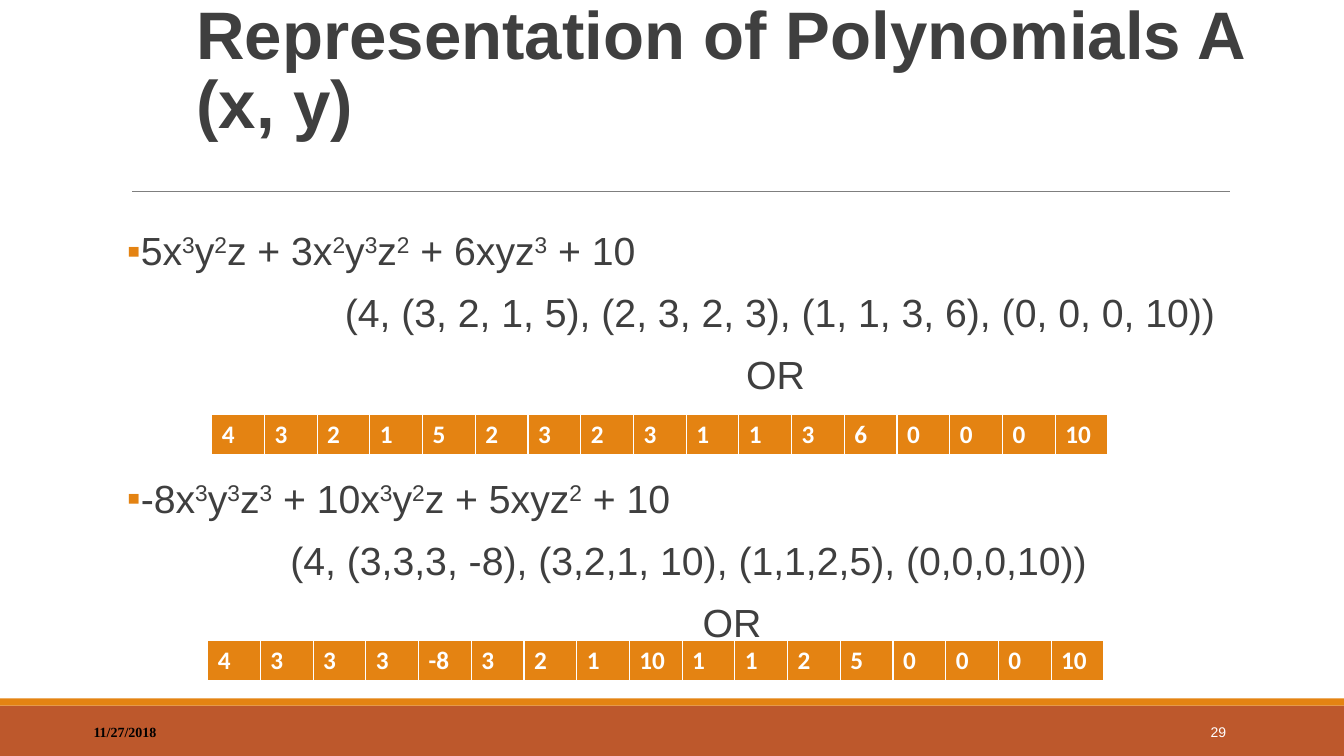
import pptx
import pptx.util
import pptx.dml.color
import pptx.enum.shapes
import pptx.enum.text
import pptx.oxml.ns
import lxml.etree

ALIGN = pptx.enum.text.PP_ALIGN
ANCHOR = pptx.enum.text.MSO_ANCHOR
SLIDE_W, SLIDE_H = 13.33, 7.5
ORANGE, RUST, WHITE, GREY = "E48312", "BD582C", "FFFFFF", "3F3F3F"

TITLE = "Representation of Polynomials A (x, y)"
DATE = "11/27/2018"
PAGE = "29"
# Each line: text (^ raises the next digit), left indent, bulleted, space before
LINE_GAP, TABLE_GAP = 14, 58.2
POLYNOMIALS = [
    ("5x^3y^2z + 3x^2y^3z^2 + 6xyz^3 + 10", 0.13, True, 0),
    ("(4, (3, 2, 1, 5), (2, 3, 2, 3), (1, 1, 3, 6), (0, 0, 0, 10))", 2.16, False, LINE_GAP),
    ("OR", 6.14, False, LINE_GAP),
    ("-8x^3y^3z^3 + 10x^3y^2z + 5xyz^2 + 10", 0.13, True, TABLE_GAP),
    ("(4, (3,3,3, -8), (3,2,1, 10), (1,1,2,5), (0,0,0,10))", 1.62, False, LINE_GAP),
    ("OR", 5.71, False, LINE_GAP),
]
# Left, top and values of each coefficient array
ARRAYS = [
    (2.06, 6.35, [4, 3, 3, 3, -8, 3, 2, 1, 10, 1, 1, 2, 5, 0, 0, 0, 10]),
    (2.1, 4.11, [4, 3, 2, 1, 5, 2, 3, 2, 3, 1, 1, 3, 6, 0, 0, 0, 10]),
]
ARRAY_W, ARRAY_H = 8.89, 0.41
CELL_BORDERS = {"a:lnL": 1, "a:lnR": 1, "a:lnT": 1, "a:lnB": 3}

TITLE_FONT = {"name": "Arial", "size": 48, "bold": True, "color": GREY}
BODY_FONT = {"name": "Arial", "size": 28, "color": GREY}
DATE_FONT = {"name": "Times New Roman", "size": 10, "bold": True, "color": "000000"}
PAGE_FONT = {"name": "Arial", "size": 10, "color": WHITE}
CELL_FONT = {"name": "Calibri", "size": 18, "bold": True, "color": WHITE}


def rgb(value):
    return pptx.dml.color.RGBColor.from_string(value)


def inches(*lengths):
    return [pptx.util.Inches(length) for length in lengths]


def add_xml(parent, tag, **attributes):
    child = lxml.etree.SubElement(parent, pptx.oxml.ns.qn(tag))
    for key, value in attributes.items():
        child.set(key, str(value))
    return child


def add_run(paragraph, text, style):
    run = paragraph.add_run()
    run.text = text
    for key, value in style.items():
        if key == "color":
            run.font.color.rgb = rgb(value)
        else:
            setattr(run.font, key, pptx.util.Pt(value) if key == "size" else value)
    return run


def add_band(slide, top, height, color):
    band = slide.shapes.add_shape(pptx.enum.shapes.MSO_SHAPE.RECTANGLE,
                                  *inches(0, top, SLIDE_W, height))
    band.shadow.inherit = False
    band.fill.solid()
    band.fill.fore_color.rgb = rgb(color)
    band.line.fill.background()


def add_frame(slide, place, **settings):
    frame = slide.shapes.add_textbox(*inches(*place)).text_frame
    for key, value in {"word_wrap": True, **settings}.items():
        setattr(frame, key, value)
    return frame


def add_label(slide, place, text, style, anchor, **settings):
    paragraph = add_frame(slide, place, vertical_anchor=anchor).paragraphs[0]
    for key, value in settings.items():
        setattr(paragraph, key, value)
    add_run(paragraph, text, style)


def add_polynomials(slide, place):
    frame = add_frame(slide, place, margin_left=0, margin_right=0)
    for index, (text, indent, bulleted, before) in enumerate(POLYNOMIALS):
        paragraph = frame.add_paragraph() if index else frame.paragraphs[0]
        paragraph.alignment = ALIGN.JUSTIFY
        paragraph.line_spacing = 0.9
        paragraph.space_before = pptx.util.Pt(before)
        properties = paragraph._p.get_or_add_pPr()
        left = pptx.util.Inches(indent)
        properties.set("marL", str(left))
        if bulleted:
            properties.set("indent", str(-left))
            add_xml(add_xml(properties, "a:buClr"), "a:srgbClr", val=ORANGE)
            add_xml(properties, "a:buFont", typeface="Arial")
            add_xml(properties, "a:buChar", char="▪")
        start, *powers = text.split("^")
        add_run(paragraph, start, BODY_FONT)
        for part in powers:
            exponent = add_run(paragraph, part[0], BODY_FONT)
            exponent._r.get_or_add_rPr().set("baseline", "30000")
            if part[1:]:
                add_run(paragraph, part[1:], BODY_FONT)


def add_array(slide, left, top, values):
    table = slide.shapes.add_table(1, len(values),
                                   *inches(left, top, ARRAY_W, ARRAY_H)).table
    for column, value in enumerate(values):
        table.columns[column].width = pptx.util.Inches(ARRAY_W / len(values))
        cell = table.cell(0, column)
        add_run(cell.text_frame.paragraphs[0], str(value), CELL_FONT)
        properties = cell._tc.get_or_add_tcPr()
        for side, width in CELL_BORDERS.items():
            border = add_xml(properties, side, w=pptx.util.Pt(width))
            add_xml(add_xml(border, "a:solidFill"), "a:srgbClr", val=WHITE)
        cell.fill.solid()
        cell.fill.fore_color.rgb = rgb(ORANGE)


def main():
    deck = pptx.Presentation()
    deck.slide_width, deck.slide_height = inches(SLIDE_W, SLIDE_H)
    slide = deck.slides.add_slide(deck.slide_layouts[6])

    add_band(slide, 7, 0.5, RUST)
    add_band(slide, 6.93, 0.07, ORANGE)
    rule = slide.shapes.add_connector(pptx.enum.shapes.MSO_CONNECTOR.STRAIGHT,
                                      *inches(1.31, 1.9, 12.2, 1.9))
    rule.line.color.rgb = rgb("7F7F7F")
    rule.line.width = pptx.util.Pt(0.75)
    add_xml(rule._element.spPr, "a:effectLst")

    add_label(slide, (1.85, 0.4, 11, 1.06), TITLE, TITLE_FONT, ANCHOR.BOTTOM,
              line_spacing=0.85)
    add_label(slide, (0.83, 7.06, 3, 0.4), DATE, DATE_FONT, ANCHOR.MIDDLE)
    add_polynomials(slide, (1.26, 2.25, 11, 4.51))
    for left, top, values in ARRAYS:
        add_array(slide, left, top, values)
    add_label(slide, (10.83, 7.06, 1.43, 0.4), PAGE, PAGE_FONT, ANCHOR.MIDDLE,
              alignment=ALIGN.RIGHT)
    deck.save("out.pptx")


if __name__ == "__main__":
    main()
